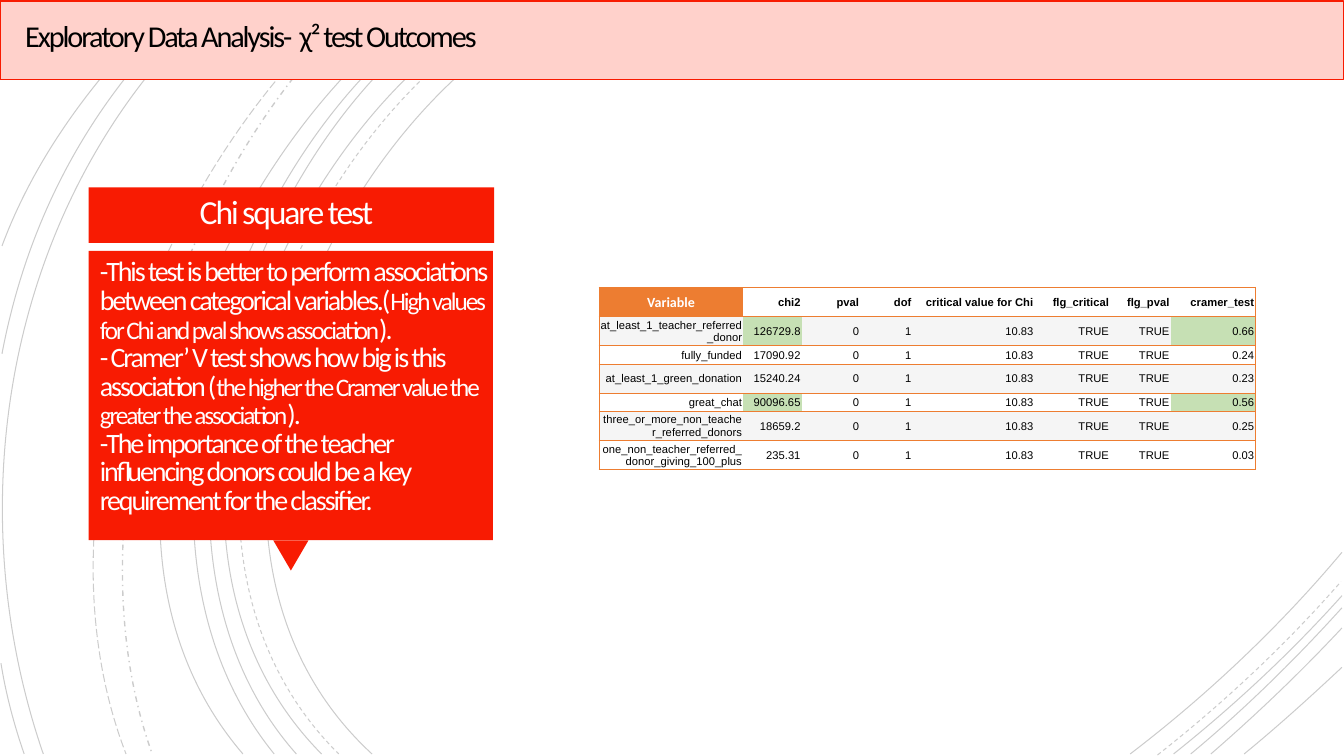
from dataclasses import dataclass

from lxml import etree
from pptx import Presentation
from pptx.dml.color import RGBColor
from pptx.enum import dml, shapes, text
from pptx.oxml.ns import qn
from pptx.util import Inches, Pt


@dataclass(frozen=True)
class Theme:
    """Colours, fonts and type sizes of the slide."""
    red: str = "F81B02"
    pink: str = "FFD1CB"
    orange: str = "ED7D31"
    green: str = "C6E0B4"
    band: str = "F5F5F5"
    white: str = "FFFFFF"
    cream: str = "FFFEFF"
    black: str = "000000"
    heading_font: str = "Calibri"
    table_font: str = "Arial"
    title_size: float = 21.6
    heading_size: float = 24
    body_size: float = 20
    aside_size: float = 18
    corner_size: float = 10
    cell_size: float = 8


THEME = Theme()

TITLE = "Exploratory Data Analysis-  χ² test Outcomes"
HEADING = "Chi square test"
FINDINGS = [
    ("-This test is better to perform associations between categorical variables.(",
     "High values for Chi and pval shows association", ")."),
    ("- Cramer’ V test shows how big is this association (",
     "the higher the Cramer value the greater the association", ")."),
    ("-The importance of the teacher influencing donors could be a key "
     "requirement for the classifier.",),
]
COLUMNS = [("Variable", 1.43), ("chi2", 0.58), ("pval", 0.58), ("dof", 0.52),
           ("critical value for Chi", 1.21), ("flg_critical", 0.75),
           ("flg_pval", 0.6), ("cramer_test", 0.84)]
SHARED_VALUES = ["0", "1", "10.83", "TRUE", "TRUE"]
VARIABLES = [
    ("at_least_1_teacher_referred_donor", "126729.8", "0.66"),
    ("fully_funded", "17090.92", "0.24"),
    ("at_least_1_green_donation", "15240.24", "0.23"),
    ("great_chat", "90096.65", "0.56"),
    ("three_or_more_non_teacher_referred_donors", "18659.2", "0.25"),
    ("one_non_teacher_referred_donor_giving_100_plus", "235.31", "0.03"),
]
ROW_HEIGHTS = [0.29, 0.29, 0.18, 0.29, 0.18, 0.29, 0.29]
STRONG = {"at_least_1_teacher_referred_donor", "great_chat"}

ARCS = {
    "SOLID": [
        ((5.65, 0), (3.15, 1.15), (1.43, 5.4), (3.69, 7.48)),
        ((13.31, 0.62), (12.78, 0.34), (12.18, 0.16), (11.62, 0.01)),
        ((11.21, 7.48), (11.97, 6.9), (12.69, 6.22), (13.31, 5.48)),
        ((5.06, 0), (2.7, 1.27), (1.1, 5.37), (3.19, 7.48)),
        ((13.31, 0.29), (13.07, 0.19), (12.83, 0.09), (12.58, 0.01)),
        ((11.64, 7.48), (12.23, 7.01), (12.8, 6.48), (13.31, 5.91)),
        ((4.64, 0), (2.44, 1.33), (1.1, 5.41), (2.94, 7.48)),
        ((11.81, 7.48), (12.34, 7.04), (12.84, 6.55), (13.31, 6.03)),
        ((4.51, 0), (2.31, 1.38), (0.97, 5.33), (2.72, 7.48)),
        ((12.01, 7.48), (12.46, 7.09), (12.9, 6.67), (13.31, 6.23)),
        ((4.27, 0), (2.17, 1.47), (0.53, 5.29), (2.41, 7.48)),
        ((12.34, 7.48), (12.67, 7.21), (12.99, 6.92), (13.31, 6.62)),
        ((2.17, 0), (0.11, 1.85), (-0.46, 4.9), (0.43, 7.48)),
        ((1.95, 0.01), (0.92, 0.96), (0.28, 2.14), (0.02, 3.51)),
        ((0.01, 6.58), (0.06, 6.89), (0.14, 7.19), (0.24, 7.48)),
        ((1.72, 0), (1, 0.69), (0.37, 1.5), (0.02, 2.44)),
    ],
    "DASH": [
        ((5.25, 0), (2.85, 1.25), (1.23, 5.37), (3.36, 7.48)),
        ((13.31, 0.41), (12.97, 0.25), (12.6, 0.12), (12.25, 0.01)),
        ((11.48, 7.49), (12.13, 6.98), (12.75, 6.4), (13.3, 5.77)),
    ],
    "DASH_DOT": [((3.63, 0), (1.76, 1.66), (0.65, 5.09), (1.51, 7.48))],
    "LONG_DASH": [((3.51, 0), (1.57, 1.69), (0.29, 4.99), (1.25, 7.48))],
}


def rgb(colour):
    """Turn a hex string into a colour."""
    return RGBColor.from_string(colour)


def style_run(run, size, colour, font=THEME.heading_font, bold=False, spacing=-150):
    """Set the type of one run."""
    run.font.size, run.font.name, run.font.bold = Pt(size), font, bold
    run.font.color.rgb = rgb(colour)
    if spacing:
        run.font._element.set("spc", str(spacing))


def set_frame(frame, inset, anchor):
    """Set wrapping, insets and anchor of a text frame."""
    frame.word_wrap = True
    frame.auto_size = text.MSO_AUTO_SIZE.NONE
    frame.vertical_anchor = anchor
    frame.margin_left = frame.margin_right = Inches(inset)
    frame.margin_top = frame.margin_bottom = Inches(inset)


def draw_arc(slide, points, dash):
    """Draw one faint cubic curve from its start, two controls and end."""
    start, *rest = [tuple(map(Inches, point)) for point in points]
    builder = slide.shapes.build_freeform(*start)
    builder.add_line_segments(rest, close=False)
    arc = builder.convert_to_shape()
    outline = arc._element.find(".//" + qn("a:path"))
    curve = etree.SubElement(outline, qn("a:cubicBezTo"))
    for segment in outline.findall(qn("a:lnTo")):
        curve.append(segment[0])
        outline.remove(segment)
    arc.shadow.inherit = False
    arc.fill.background()
    arc.line.color.rgb = rgb(THEME.black)
    arc.line.width = Pt(1 if dash == "DASH_DOT" else 0.75)
    arc.line.dash_style = getattr(dml.MSO_LINE, dash)
    ink = arc.line._ln.find(".//" + qn("a:srgbClr"))
    etree.SubElement(ink, qn("a:alpha"), val="20000")


def draw_block(slide, kind, *box):
    """Draw one red shape and return it."""
    block = slide.shapes.add_shape(kind, *map(Inches, box))
    block.shadow.inherit = False
    block.fill.solid()
    block.fill.fore_color.rgb = rgb(THEME.red)
    block.line.fill.background()
    return block


def draw_title(slide):
    """Turn the title placeholder into the top bar, above the arcs."""
    title = slide.shapes.title
    title.element.getparent().append(title.element)
    title.left, title.top, title.width, title.height = map(Inches, (0, 0.01, 13.33, 0.78))
    title.fill.solid()
    title.fill.fore_color.rgb = rgb(THEME.pink)
    title.line.color.rgb = rgb(THEME.red)
    title.line.width = Pt(0.75)
    title.text_frame.text = TITLE
    set_frame(title.text_frame, 0.25, text.MSO_ANCHOR.MIDDLE)
    line = title.text_frame.paragraphs[0]
    line.alignment, line.line_spacing = text.PP_ALIGN.LEFT, 0.65
    style_run(line.runs[0], THEME.title_size, THEME.black)


def draw_callout(slide):
    """Draw the red callout with its heading and findings."""
    draw_block(slide, shapes.MSO_SHAPE.RECTANGLE, 0.88, 1.86, 4.02, 0.55)
    draw_block(slide, shapes.MSO_SHAPE.ISOSCELES_TRIANGLE, 2.71, 5.36, 0.35, 0.3).rotation = 180
    draw_block(slide, shapes.MSO_SHAPE.RECTANGLE, 0.88, 2.49, 4.01, 2.87)

    findings = slide.shapes.add_textbox(*map(Inches, (0.74, 2.32, 4.36, 3.16))).text_frame
    set_frame(findings, 0.25, text.MSO_ANCHOR.TOP)
    for i, parts in enumerate(FINDINGS):
        finding = findings.add_paragraph() if i else findings.paragraphs[0]
        finding.line_spacing = 0.85
        for j, part in enumerate(parts):
            run = finding.add_run()
            run.text = part
            style_run(run, THEME.aside_size if j == 1 else THEME.body_size, THEME.cream)

    heading = slide.shapes.add_textbox(*map(Inches, (0.88, 1.86, 3.92, 0.47))).text_frame
    heading.text = HEADING
    set_frame(heading, 0.1, text.MSO_ANCHOR.TOP)
    heading.paragraphs[0].alignment = text.PP_ALIGN.CENTER
    heading.paragraphs[0].line_spacing = 0.85
    style_run(heading.paragraphs[0].runs[0], THEME.heading_size, THEME.cream)


def set_borders(cell, visible):
    """Draw the named sides of a cell in orange and clear the others."""
    for side in "LRTB":
        border = etree.SubElement(cell._tc.get_or_add_tcPr(), qn("a:ln" + side), w="6350")
        fill = etree.SubElement(border, qn("a:solidFill" if side in visible else "a:noFill"))
        if side in visible:
            etree.SubElement(fill, qn("a:srgbClr"), val=THEME.orange)


def draw_results(slide):
    """Draw the table of test results."""
    rows = [[name for name, _ in COLUMNS]]
    rows += [[name, chi, *SHARED_VALUES, cramer] for name, chi, cramer in VARIABLES]
    last = len(COLUMNS) - 1
    results = slide.shapes.add_table(len(rows), len(COLUMNS), *map(
        Inches, (5.94, 2.85, 6.51, sum(ROW_HEIGHTS)))).table
    results.horz_banding = False
    for column, (_, width) in zip(results.columns, COLUMNS):
        column.width = Inches(width)
    for r, values in enumerate(rows):
        results.rows[r].height = Inches(ROW_HEIGHTS[r])
        for c, value in enumerate(values):
            cell, corner = results.cell(r, c), r == c == 0
            cell.text = value
            cell.vertical_anchor = text.MSO_ANCHOR.MIDDLE
            cell.margin_left = cell.margin_right = cell.margin_top = Inches(0.01)
            cell.margin_bottom = 0
            set_borders(cell, "TB" + {0: "L", last: "R"}.get(c, ""))
            fill = THEME.band if r % 2 else THEME.white
            if corner:
                fill = THEME.orange
            elif values[0] in STRONG and c in (1, last):
                fill = THEME.green
            cell.fill.solid()
            cell.fill.fore_color.rgb = rgb(fill)
            line = cell.text_frame.paragraphs[0]
            line.alignment = text.PP_ALIGN.CENTER if corner else text.PP_ALIGN.RIGHT
            style_run(line.runs[0], THEME.corner_size if corner else THEME.cell_size,
                      THEME.white if corner else THEME.black,
                      THEME.heading_font if corner else THEME.table_font, r == 0, 0)


def main():
    """Build the slide and save it."""
    deck = Presentation()
    deck.slide_width, deck.slide_height = Inches(13.33), Inches(7.5)
    slide = deck.slides.add_slide(deck.slide_layouts[5])
    for dash, arcs in ARCS.items():
        for points in arcs:
            draw_arc(slide, points, dash)
    draw_callout(slide)
    draw_title(slide)
    draw_results(slide)
    deck.save("out.pptx")


if __name__ == "__main__":
    main()
